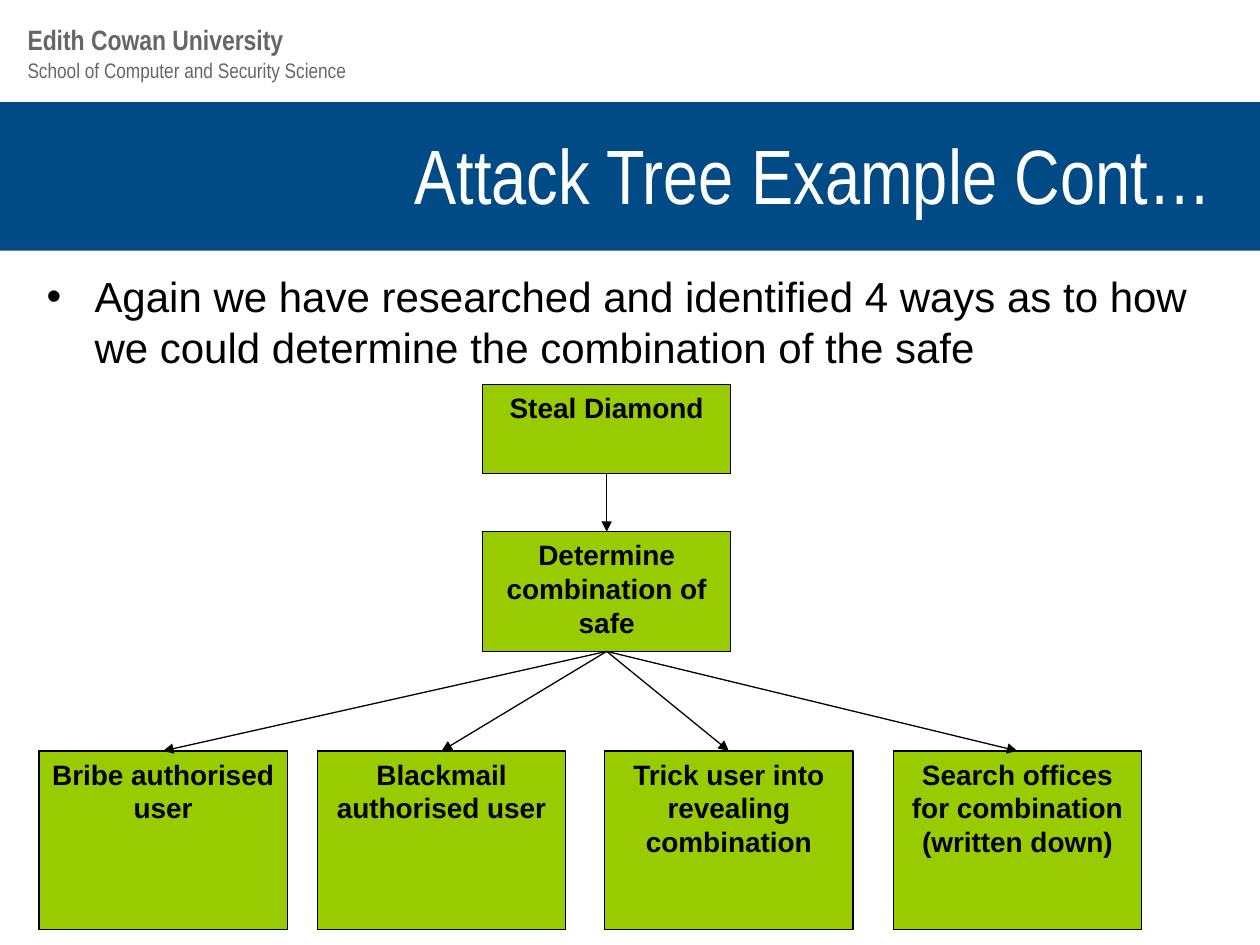
from lxml import etree
from pptx import Presentation
from pptx import util as u
from pptx.dml.color import RGBColor
from pptx.enum import shapes, text
from pptx.oxml.ns import qn

HUE = {"band": "004B85", "head": "666666", "title": "FFFFFF",
       "text": "000000", "node": "99CC00"}
LEFT, MID, RIGHT = text.PP_ALIGN.LEFT, text.PP_ALIGN.CENTER, text.PP_ALIGN.RIGHT
TOP, CENTRE = text.MSO_ANCHOR.TOP, text.MSO_ANCHOR.MIDDLE


def write(shape, words, hue, align, anchor=TOP, **form):
    frame = shape.text_frame
    frame.word_wrap = True
    frame.auto_size = text.MSO_AUTO_SIZE.NONE
    frame.vertical_anchor = anchor
    frame.text = words
    para = frame.paragraphs[0]
    para.alignment = align
    para.space_before = u.Pt(0)
    font = para.runs[0].font
    for key, val in form.items():
        setattr(font, key, val)
    font.color.rgb = RGBColor.from_string(HUE[hue])
    return para


def block(box, fill):
    rect = slide.shapes.add_shape(shapes.MSO_SHAPE.RECTANGLE, *map(u.Inches, box))
    rect.shadow.inherit = False
    rect.fill.solid()
    rect.fill.fore_color.rgb = RGBColor.from_string(HUE[fill])
    return rect


deck = Presentation()
deck.slide_width, deck.slide_height = u.Inches(10), u.Inches(7.5)
slide = deck.slides.add_slide(deck.slide_layouts[1])
title, body = slide.shapes.title, slide.placeholders[1]

band = block((0, 0.81, 10, 1.18), "band")
band.line.fill.background()
title.element.addprevious(band.element)

for top, high, words, size, bold in (
    (0.41, 0.3, "School of Computer and Security Science", 12, False),
    (0.13, 0.37, "Edith Cowan University", 16, True),
):
    label = slide.shapes.add_textbox(*map(u.Inches, (0.12, top, 5.89, high)))
    write(label, words, "head", LEFT, name="Arial Narrow", size=u.Pt(size), bold=bold)

for hold, top, high in ((title, 0.83, 1.09), (body, 2.1, 0.8)):
    place = {"left": 0.27, "top": top, "width": 9.45, "height": high}
    for key, val in place.items():
        setattr(hold, key, u.Inches(val))

write(title, "Attack Tree Example Cont…", "title", RIGHT, CENTRE,
      name="Arial Narrow", size=u.Pt(44))
point = write(body, "Again we have researched and identified 4 ways as to how "
              "we could determine the combination of the safe", "text", LEFT,
              name="Arial", size=u.Pt(24))
props = point._p.get_or_add_pPr()
props.set("marL", str(u.Inches(0.38)))
props.set("indent", str(u.Inches(-0.38)))
etree.SubElement(props, qn("a:buChar")).set("char", "•")

nodes = []
for left, top, high, words in (
    (3.83, 3.05, 0.71, "Steal Diamond"),
    (3.83, 4.22, 0.95, "Determine combination of safe"),
    (0.31, 5.96, 1.42, "Bribe authorised user"),
    (2.52, 5.96, 1.42, "Blackmail authorised user"),
    (4.8, 5.96, 1.42, "Trick user into revealing combination"),
    (7.09, 5.96, 1.42, "Search offices for combination (written down)"),
):
    node = block((left, top, 1.97, high), "node")
    node.line.color.rgb = RGBColor.from_string(HUE["text"])
    node.line.width = u.Pt(0.75)
    write(node, words, "text", MID, name="Arial", size=u.Pt(16), bold=True)
    nodes.append(node)

goal, step, *ways = nodes
for start, end in [(goal, step)] + [(step, way) for way in ways]:
    link = slide.shapes.add_connector(shapes.MSO_CONNECTOR.STRAIGHT, 0, 0, 0, 0)
    link.begin_connect(start, 2)
    link.end_connect(end, 0)
    link.line.color.rgb = RGBColor.from_string(HUE["text"])
    link.line.width = u.Pt(0.75)
    etree.SubElement(link.line._get_or_add_ln(), qn("a:tailEnd")).set("type", "triangle")
    etree.SubElement(link.element.spPr, qn("a:effectLst"))

deck.save("out.pptx")
